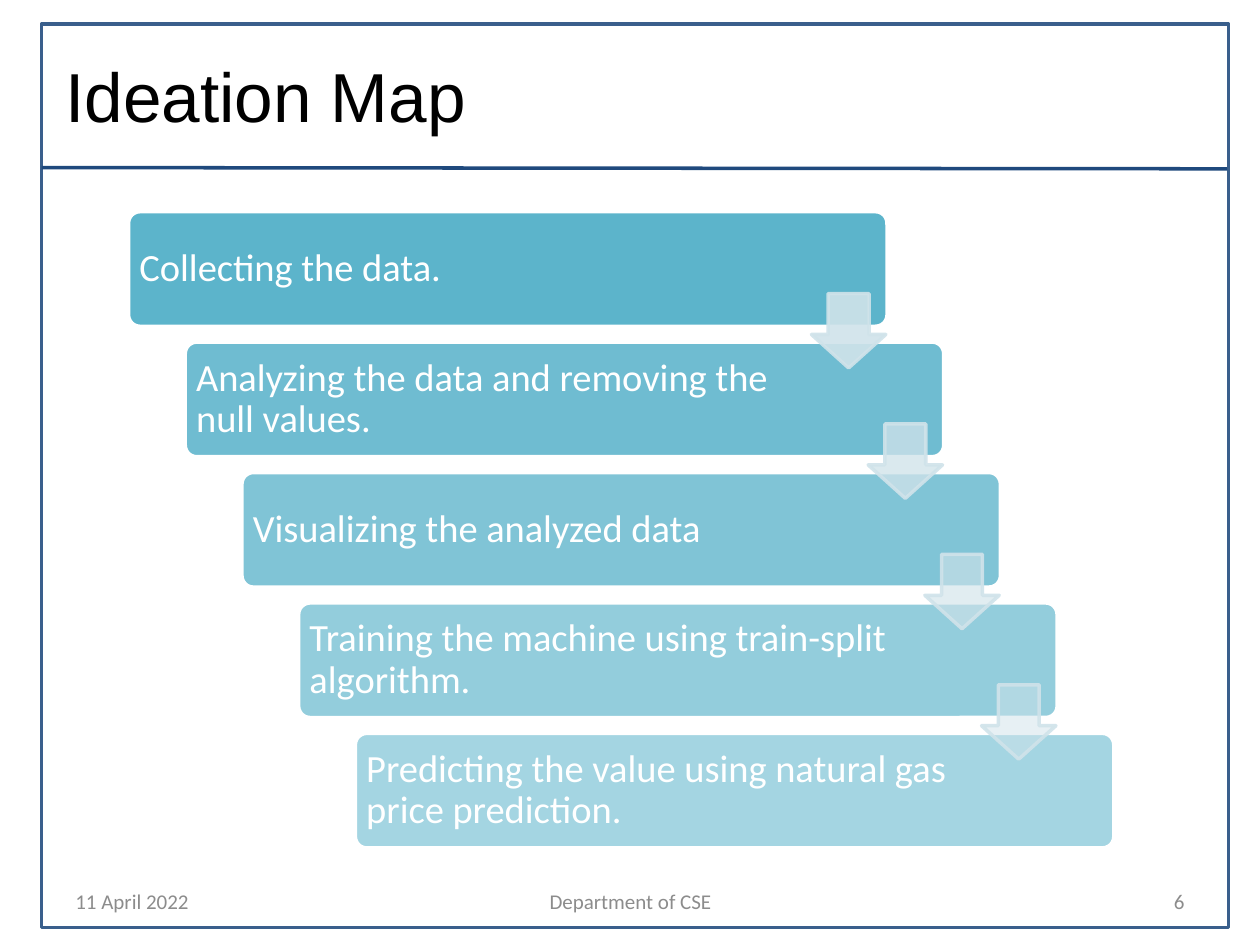
from pptx import Presentation
from pptx.util import Inches, Pt
from pptx.dml.color import RGBColor
from pptx.enum.shapes import MSO_CONNECTOR, MSO_SHAPE as Preset
from pptx.enum.text import MSO_ANCHOR, PP_ALIGN as Align
from pptx.oxml.ns import qn
from lxml.etree import SubElement

COLORS = {"frame": "3A5F8C", "rule": "1F497D", "step": "4BACC6", "arrow": "D0E3EA",
          "white": "FFFFFF", "black": "000000", "footer": "8C8C8C"}

deck = Presentation()
deck.slide_width, deck.slide_height = Inches(10), Inches(7.5)
page = deck.slides.add_slide(deck.slide_layouts[6])


def add_preset(preset, area, line, fill=None, fill_alpha=100, line_alpha=100):
    shape = page.shapes.add_shape(preset, *map(Inches, area))
    shape.shadow.inherit = False
    shape.line.width = Pt(2)
    paints = [(shape.line.fill, line, line_alpha)]
    if fill:
        paints.append((shape.fill, fill, fill_alpha))
    else:
        shape.fill.background()
    for paint, color, alpha in paints:
        paint.solid()
        paint.fore_color.rgb = RGBColor.from_string(COLORS[color])
    for paint_color, (_, _, alpha) in zip(shape.element.spPr.iter(qn("a:srgbClr")), reversed(paints)):
        if alpha < 100:
            SubElement(paint_color, qn("a:alpha"), val=str(alpha * 1000))
    return shape


def write(shape, text, size, font, color, align=Align.LEFT):
    frame = shape.text_frame
    frame.word_wrap = True
    frame.vertical_anchor = MSO_ANCHOR.MIDDLE
    frame.text = text
    para = frame.paragraphs[0]
    para.alignment = align
    span = para.runs[0]
    span.font.size = Pt(size)
    span.font.name = font
    span.font.color.rgb = RGBColor.from_string(COLORS[color])
    return frame


add_preset(Preset.RECTANGLE, (0.33, 0.19, 9.42, 7.17), "frame")

rule = page.shapes.add_connector(MSO_CONNECTOR.STRAIGHT, Inches(0.33), Inches(1.33),
                                 Inches(9.74), Inches(1.34))
rule.line.width = Pt(2)
rule.line.color.rgb = RGBColor.from_string(COLORS["rule"])
SubElement(rule.element.spPr, qn("a:effectLst"))

labels = [
    ((0.5, 6.95, 2.33, 0.4), "11 April 2022", 12, "Calibri", "footer", Align.LEFT),
    ((3.42, 6.95, 3.17, 0.4), "Department of CSE", 12, "Calibri", "footer", Align.CENTER),
    ((7.17, 6.95, 2.33, 0.4), "6", 12, "Calibri", "footer", Align.RIGHT),
    ((0.42, 0.42, 9, 0.67), "Ideation Map", 39.6, "Arial", "black", Align.LEFT),
]
for area, *style in labels:
    write(page.shapes.add_textbox(*map(Inches, area)), *style)

steps = [
    "Collecting the data.",
    "Analyzing the data and removing the null values.",
    "Visualizing the analyzed data",
    "Training the machine using train-split algorithm.",
    "Predicting the value using natural gas price prediction.",
]
STEP_RIGHT, STEP_DOWN = 0.45, 1.035
for row, text in enumerate(steps):
    area = (1.02 + row * STEP_RIGHT, 1.68 + row * STEP_DOWN, 6.02, 0.91)
    step = add_preset(Preset.ROUNDED_RECTANGLE, area, "white", "step", 90 - row * 10)
    step.adjustments[0] = 0.1
    frame = write(step, text, 22, "Calibri", "white")
    frame.margin_left, frame.margin_right = Inches(0.06), Inches(1.1)
    frame.margin_top = frame.margin_bottom = Inches(0.06)
    frame.paragraphs[0].line_spacing = 0.9

for row, alpha in enumerate((90, 77, 63, 50)):
    area = (6.44 + row * STEP_RIGHT, 2.33 + row * STEP_DOWN, 0.59, 0.59)
    arrow = add_preset(Preset.DOWN_ARROW, area, "arrow", "arrow", alpha, 90)
    arrow.adjustments[0], arrow.adjustments[1] = 0.55, 0.45

deck.save("out.pptx")
